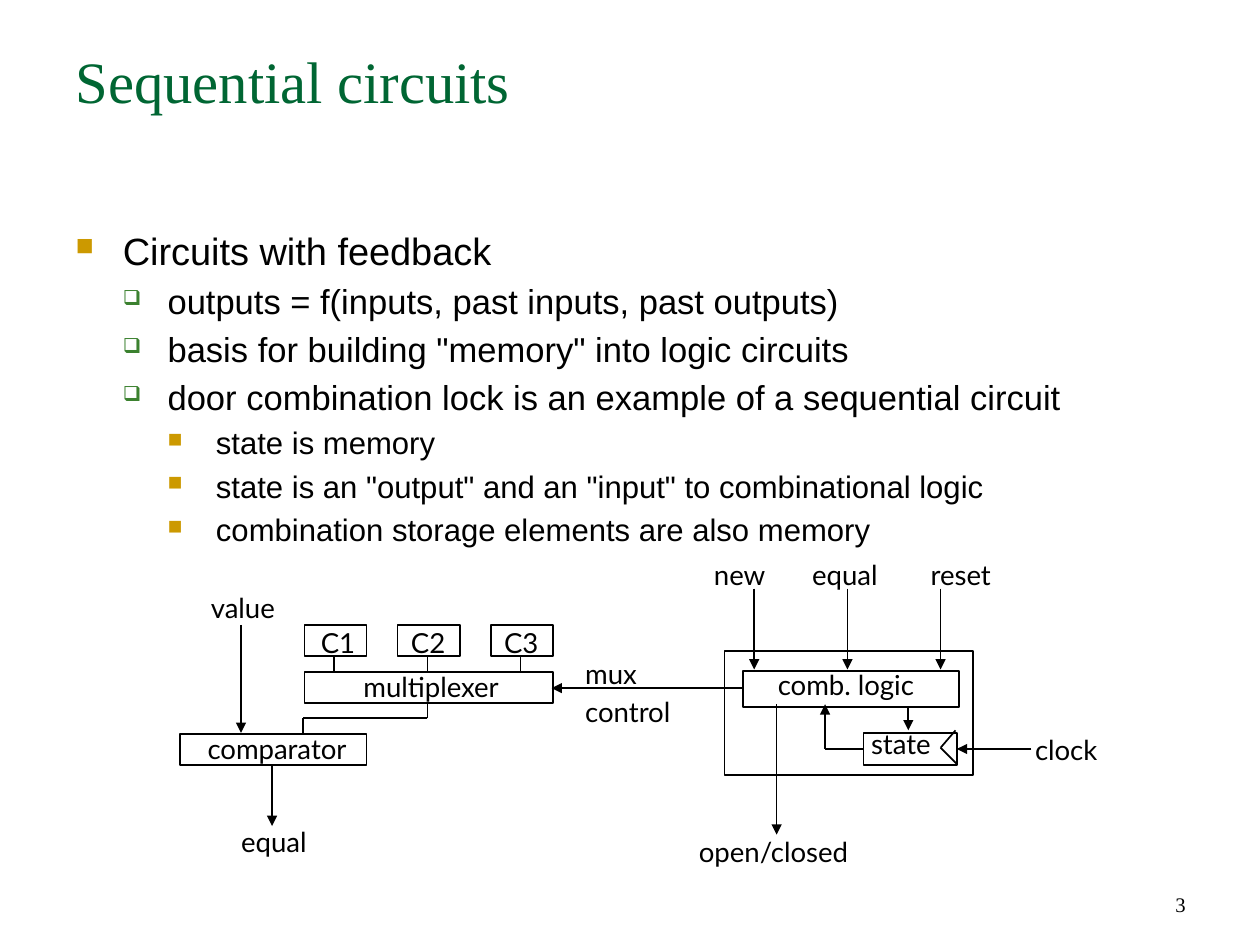
from dataclasses import dataclass
from itertools import pairwise

from lxml import etree
from pptx import Presentation
from pptx.dml.color import RGBColor
from pptx.enum.shapes import MSO_CONNECTOR, MSO_SHAPE
from pptx.enum.text import MSO_ANCHOR, PP_ALIGN
from pptx.oxml.ns import qn
from pptx.util import Emu, Pt

PX = 9144  # 100 px to the inch
LINE = MSO_CONNECTOR.STRAIGHT
RECT = MSO_SHAPE.RECTANGLE
TOP, BOTTOM = MSO_ANCHOR.TOP, MSO_ANCHOR.BOTTOM
LEFT, MID, RIGHT = PP_ALIGN.LEFT, PP_ALIGN.CENTER, PP_ALIGN.RIGHT

BLACK = RGBColor(0x00, 0x00, 0x00)
GREEN = RGBColor(0x00, 0x66, 0x33)
GOLD = RGBColor(0xCC, 0x99, 0x00)
LEAF = RGBColor(0x3B, 0x81, 0x2F)
SERIF, SANS, LABEL = "Times New Roman", "Arial", "Lato"


@dataclass
class Label:
    text: str
    x: int
    y: int
    w: int
    h: int = 44
    align: PP_ALIGN = MID
    lead: int = 22


@dataclass
class Wire:
    points: list[tuple[int, int]]
    arrow: bool = False


@dataclass
class Level:
    size: int
    indent: int
    hang: int
    mark: str
    color: RGBColor
    scale: int


# Bullet text
LEVELS = [
    Level(22, 38, 38, "■", GOLD, 65),
    Level(20, 74, 36, "❑", LEAF, 60),
    Level(18, 113, 39, "■", GOLD, 65),
]
POINTS = [
    (0, "Circuits with feedback"),
    (1, "outputs = f(inputs, past inputs, past outputs)"),
    (1, 'basis for building "memory" into logic circuits'),
    (1, "door combination lock is an example of a sequential circuit"),
    (2, "state is memory"),
    (2, 'state is an "output" and an "input" to combinational logic'),
    (2, "combination storage elements are also memory"),
]

# Diagram parts
CODES = [245 + 75 * i for i in range(3)]
INPUTS = [607 + 75 * i for i in range(3)]
BOXES = [(x, 503, 50, 25) for x in CODES] + [
    (145, 591, 150, 25),  # comparator
    (245, 541, 200, 25),  # multiplexer
    (583, 524, 200, 100),  # control frame
    (598, 540, 174, 29),  # comb. logic
    (695, 590, 75, 26),  # state
]
WIRES = [Wire([(x + 24, 528), (x + 24, 540)]) for x in CODES]
WIRES += [Wire([(x, 474), (x, 539)], True) for x in INPUTS]
WIRES += [
    Wire([(194, 503), (194, 590)], True),
    Wire([(344, 566), (344, 578), (244, 578), (244, 590)]),
    Wire([(219, 616), (219, 665)], True),
    Wire([(625, 567), (625, 672)], True),
    Wire([(598, 554), (444, 554)], True),
    Wire([(769, 588), (757, 602), (770, 615)]),
    Wire([(830, 603), (770, 603)], True),
    Wire([(695, 603), (664, 603), (664, 567)], True),
    Wire([(731, 569), (731, 588)], True),
]
LABELS = [
    Label("C1", 249, 497, 46),
    Label("C2", 304, 497, 81),
    Label("C3", 379, 497, 81),
    Label("comparator", 148, 589, 150, 38, lead=17),
    Label("multiplexer", 272, 539, 150, 38, lead=17),
    Label("comb. logic", 624, 538, 174, 38, LEFT, 17),
    Label("state", 699, 585, 101, 38, LEFT, 17),
    Label("value", 142, 469, 107),
    Label("equal", 167, 657, 107),
    Label("new", 525, 442, 93, align=RIGHT),
    Label("equal", 633, 442, 94),
    Label("reset", 747, 442, 94, align=LEFT),
    Label("open/closed", 538, 665, 169),
    Label("mux\ncontrol", 469, 522, 94, 75, LEFT),
    Label("clock", 831, 583, 93, align=LEFT),
]


def px(n: int) -> Emu:
    return Emu(n * PX)


def write(par, text: str, *, size: int, font: str, color: RGBColor = BLACK,
          align: PP_ALIGN = LEFT, lead: int | None = None) -> None:
    par.text = text.replace("\n", "\v")
    par.alignment = align
    if lead:
        par.line_spacing = Pt(lead)
    for run in par.runs:
        run.font.size = Pt(size)
        run.font.name = font
        run.font.color.rgb = color


def frame(shape, anchor: MSO_ANCHOR = TOP, side: int = 10, edge: int = 5,
          wrap: bool = True):
    area = shape.text_frame
    area.word_wrap = wrap
    area.vertical_anchor = anchor
    area.margin_left = area.margin_right = px(side)
    area.margin_top = area.margin_bottom = px(edge)
    return area


def add_text(slide, x: int, y: int, w: int, h: int):
    return slide.shapes.add_textbox(px(x), px(y), px(w), px(h))


def add_box(slide, x: int, y: int, w: int, h: int) -> None:
    box = slide.shapes.add_shape(RECT, px(x), px(y), px(w), px(h))
    box.shadow.inherit = False
    box.fill.background()
    box.line.color.rgb = BLACK
    box.line.width = Pt(1)


def add_wire(slide, wire: Wire) -> None:
    for start, end in pairwise(wire.points):
        part = slide.shapes.add_connector(LINE, *map(px, start + end))
        part.line.color.rgb = BLACK
        part.line.width = Pt(1)
        if wire.arrow and end == wire.points[-1]:
            etree.SubElement(part.line._get_or_add_ln(), qn("a:tailEnd"), type="triangle")
        etree.SubElement(part._element.spPr, qn("a:effectLst"))


def add_label(slide, label: Label) -> None:
    box = add_text(slide, label.x, label.y, label.w, label.h)
    area = frame(box, side=2, edge=3, wrap=False)
    write(area.paragraphs[0], label.text, size=16, font=LABEL,
          align=label.align, lead=label.lead)


def add_mark(par, level: Level) -> None:
    props = par._p.get_or_add_pPr()
    props.set("marL", str(px(level.indent)))
    props.set("indent", str(-px(level.hang)))
    tint = etree.SubElement(props, qn("a:buClr"))
    etree.SubElement(tint, qn("a:srgbClr"), val=str(level.color))
    etree.SubElement(props, qn("a:buSzPct"), val=str(level.scale * 1000))
    etree.SubElement(props, qn("a:buChar"), char=level.mark)


def add_points(slide) -> None:
    area = frame(add_text(slide, 51, 178, 912, 502))
    for i, (depth, text) in enumerate(POINTS):
        par = area.add_paragraph() if i else area.paragraphs[0]
        level = LEVELS[depth]
        par.level = depth
        add_mark(par, level)
        write(par, text, size=level.size, font=SANS)
        if i:
            par.space_before = Pt(level.size * 0.2)


def main() -> None:
    deck = Presentation()
    deck.slide_width, deck.slide_height = px(1014), px(760)
    slide = deck.slides.add_slide(deck.slide_layouts[5])

    # Title
    title = slide.shapes.title
    title.left, title.top, title.width, title.height = map(px, (51, 31, 912, 126))
    write(frame(title).paragraphs[0], "Sequential circuits", size=34, font=SERIF, color=GREEN)

    # Body and diagram
    add_points(slide)
    for box in BOXES:
        add_box(slide, *box)
    for wire in WIRES:
        add_wire(slide, wire)
    for label in LABELS:
        add_label(slide, label)

    # Page number
    page = frame(add_text(slide, 727, 692, 237, 51), BOTTOM)
    write(page.paragraphs[0], "3", size=12, font=SERIF, align=RIGHT)
    deck.save("out.pptx")


if __name__ == "__main__":
    main()
